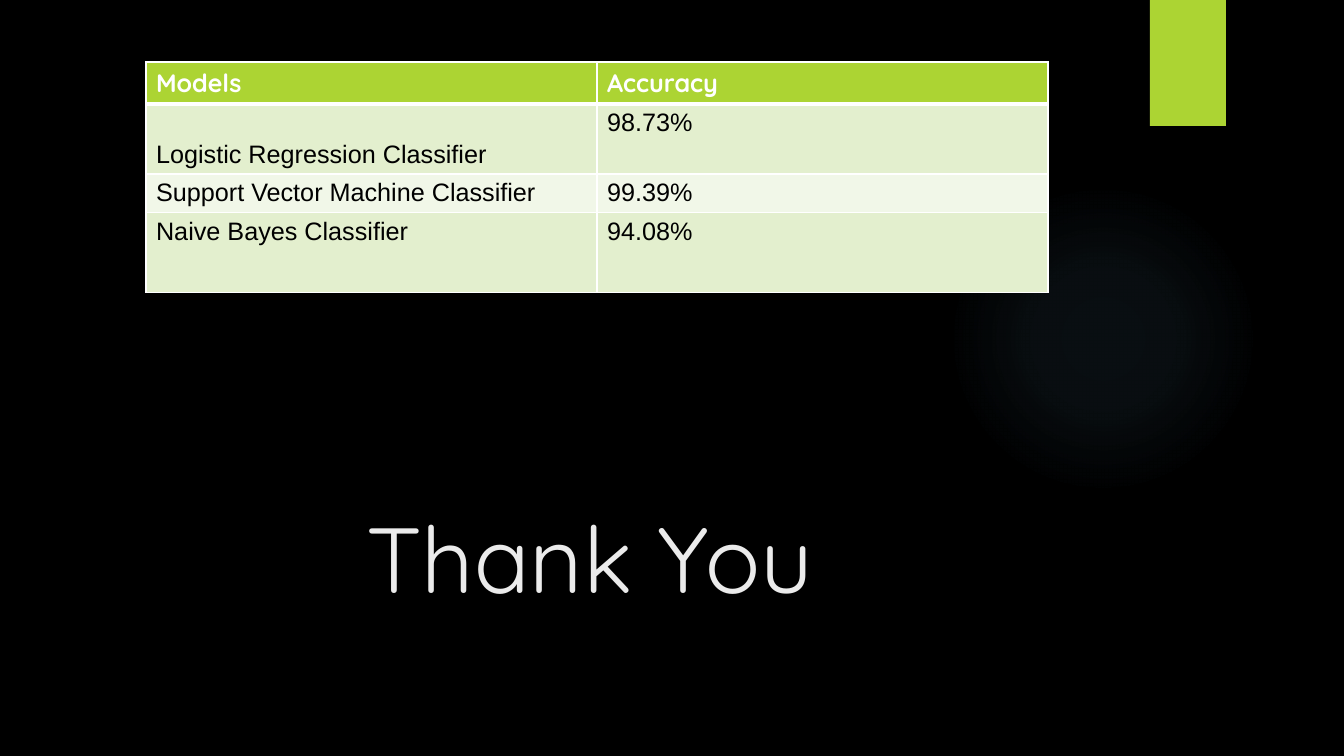
from pptx import Presentation
from pptx.dml.color import RGBColor
from pptx.enum.shapes import MSO_SHAPE
from pptx.enum.text import MSO_ANCHOR, MSO_AUTO_SIZE, PP_ALIGN
from pptx.oxml import parse_xml
from pptx.oxml.ns import nsdecls
from pptx.util import Emu, Pt

SLIDE_WIDTH, SLIDE_HEIGHT = 1344, 756
EMU_PER_PX = 12192000 / SLIDE_WIDTH

BLACK = RGBColor(0x00, 0x00, 0x00)
WHITE = RGBColor(0xFF, 0xFF, 0xFF)
OFF_WHITE = RGBColor(0xEB, 0xEB, 0xEB)
LIME = RGBColor(0xAC, 0xD4, 0x33)
BAND_DARK = RGBColor(0xE3, 0xEF, 0xCE)
BAND_LIGHT = RGBColor(0xF1, 0xF7, 0xE8)
GLOW_BLUE = RGBColor(0x7A, 0xC4, 0xF0)

HEADING_FONT, BODY_FONT = "Quicksand", "Arial"
GLOW_STOPS = [(0, 7), (36, 6), (69, 0)]

ACCURACY_ROWS = [
    ("Models", "Accuracy"),
    ("Logistic Regression Classifier", "98.73%"),
    ("Support Vector Machine Classifier", "99.39%"),
    ("Naive Bayes Classifier", "94.08%"),
]
ROW_HEIGHTS = [42, 70, 38, 80]


def px(length):
    return Emu(round(length * EMU_PER_PX))


class SlideBuilder:
    def __init__(self, presentation):
        self.slide = presentation.slides.add_slide(presentation.slide_layouts[5])
        background = self.slide.background.fill
        background.solid()
        background.fore_color.rgb = BLACK

    def style(self, paragraph, font, size, color, bold=False):
        paragraph.font.name = font
        paragraph.font.size = Pt(size)
        paragraph.font.color.rgb = color
        paragraph.font.bold = bold

    def shape(self, kind, *box):
        shape = self.slide.shapes.add_shape(kind, *map(px, box))
        shape.shadow.inherit = False
        shape.line.fill.background()
        return shape

    def tab(self, *box):
        tab = self.shape(MSO_SHAPE.RECTANGLE, *box)
        tab.fill.solid()
        tab.fill.fore_color.rgb = LIME

    def glow(self, *box):
        """Add a circle that fades out from its centre."""
        stops = "".join(
            f'<a:gs pos="{position * 1000}"><a:srgbClr val="{GLOW_BLUE}">'
            f'<a:alpha val="{alpha * 1000}"/></a:srgbClr></a:gs>'
            for position, alpha in GLOW_STOPS
        )
        gradient = parse_xml(
            f'<a:gradFill {nsdecls("a")}><a:gsLst>{stops}</a:gsLst><a:path path="circle">'
            '<a:fillToRect l="50000" t="50000" r="50000" b="50000"/></a:path></a:gradFill>'
        )
        circle = self.shape(MSO_SHAPE.OVAL, *box)
        circle._element.spPr.insert(2, gradient)

    def title(self, text, indent, *box):
        title = self.slide.shapes.title
        title.left, title.top, title.width, title.height = map(px, box)
        frame = title.text_frame
        frame.text = text
        frame.auto_size = MSO_AUTO_SIZE.NONE
        frame.vertical_anchor = MSO_ANCHOR.TOP
        frame.margin_left = px(indent)
        frame.paragraphs[0].alignment = PP_ALIGN.LEFT
        self.style(frame.paragraphs[0], HEADING_FONT, 66, OFF_WHITE)

    def borders(self, cell, top, bottom):
        """Draw white cell borders; top and bottom are widths in points."""
        widths = {"lnL": 1, "lnR": 1, "lnT": top, "lnB": bottom}
        for position, (side, width) in enumerate(widths.items()):
            line = parse_xml(
                f'<a:{side} {nsdecls("a")} w="{Pt(width)}"><a:solidFill>'
                f'<a:srgbClr val="{WHITE}"/></a:solidFill></a:{side}>'
            )
            cell._tc.get_or_add_tcPr().insert(position, line)

    def table(self, rows, row_heights, left, top, width):
        table = self.slide.shapes.add_table(
            len(rows), len(rows[0]), px(left), px(top), px(width), px(sum(row_heights))
        ).table
        for row_index, (texts, height) in enumerate(zip(rows, row_heights)):
            table.rows[row_index].height = px(height)
            is_header = row_index == 0
            band = BAND_DARK if row_index % 2 else BAND_LIGHT
            for column_index, text in enumerate(texts):
                cell = table.cell(row_index, column_index)
                cell.text = text
                cell.fill.solid()
                cell.fill.fore_color.rgb = LIME if is_header else band
                self.borders(cell, 3 if row_index == 1 else 1, 3 if is_header else 1)
                paragraph = cell.text_frame.paragraphs[0]
                if is_header:
                    self.style(paragraph, HEADING_FONT, 18, WHITE, bold=True)
                else:
                    self.style(paragraph, BODY_FONT, 18, BLACK)
        return table


def main():
    presentation = Presentation()
    presentation.slide_width = px(SLIDE_WIDTH)
    presentation.slide_height = px(SLIDE_HEIGHT)

    closing = SlideBuilder(presentation)
    closing.glow(948, 184, 310, 310)
    closing.tab(1150, 0, 76, 126)
    closing.title("Thank You", 252, 114, 496, 1037, 154)
    accuracy = closing.table(ACCURACY_ROWS, ROW_HEIGHTS, 146, 62, 902)
    accuracy.cell(1, 0).vertical_anchor = MSO_ANCHOR.BOTTOM

    presentation.save("out.pptx")


if __name__ == "__main__":
    main()
